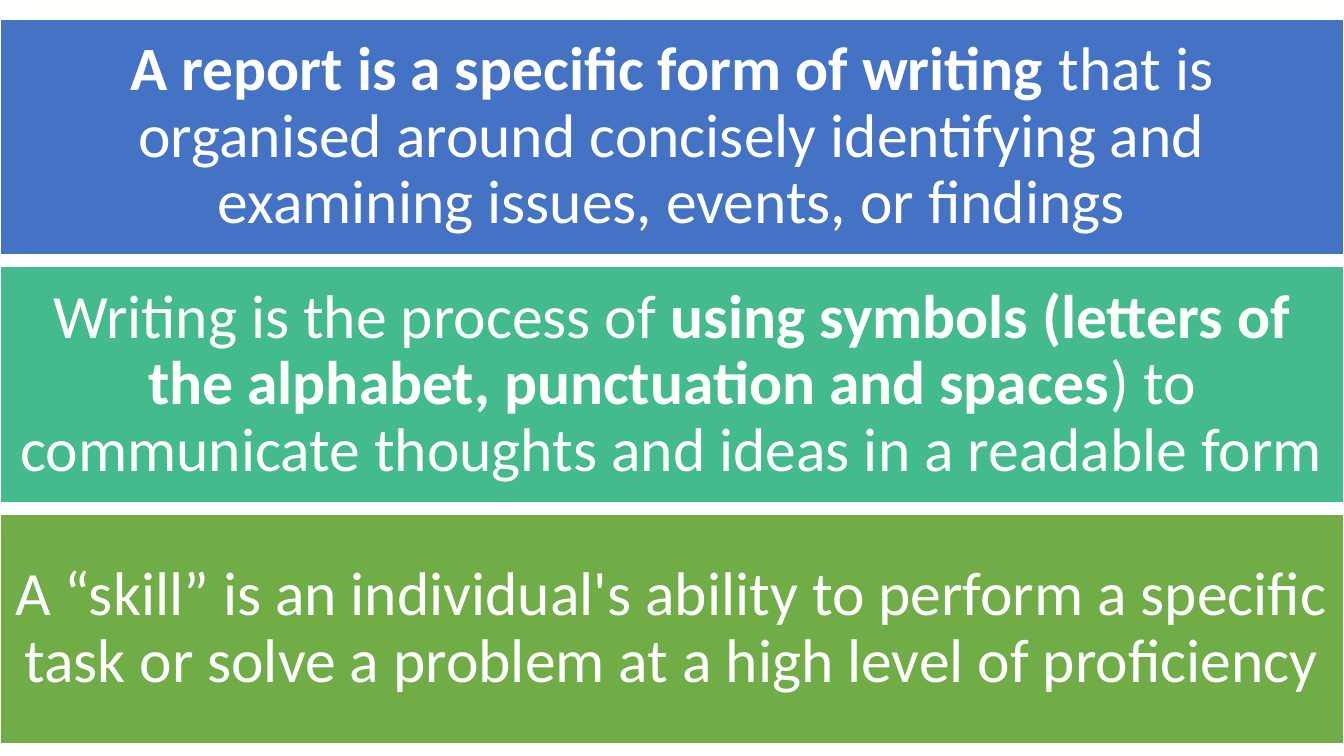
from pptx import Presentation
from pptx.dml.color import RGBColor
from pptx.enum.shapes import MSO_SHAPE
from pptx.enum.text import MSO_ANCHOR, PP_ALIGN
from pptx.util import Pt


def rgb(value):
    return RGBColor.from_string(value)


prs = Presentation()
prs.slide_width = Pt(960)
prs.slide_height = Pt(540)
s = prs.slides.add_slide(prs.slide_layouts[6])

bands = [
    ("4472C4", 168.5, [
        ("A report is a specific form of writing", True),
        (" that is organised around concisely identifying and examining issues, events, or findings", False),
    ]),
    ("43BB8D", 168.5, [
        ("Writing is the process of ", False),
        ("using symbols (letters of the alphabet, punctuation and spaces", True),
        (") to communicate thoughts and ideas in a readable form", False),
    ]),
    ("70AD47", 164, [
        ("A “skill” is an individual's ability to perform a specific task or solve a problem at a high level of proficiency", False),
    ]),
]

top = 13.7
gap = 8.4
for color, height, runs in bands:
    sp = s.shapes.add_shape(MSO_SHAPE.RECTANGLE, Pt(0), Pt(top), Pt(960), Pt(height))
    sp.shadow.inherit = False
    sp.fill.solid()
    sp.fill.fore_color.rgb = rgb(color)
    sp.line.color.rgb = rgb("FFFFFF")
    sp.line.width = Pt(1)
    tf = sp.text_frame
    tf.word_wrap = True
    tf.vertical_anchor = MSO_ANCHOR.MIDDLE
    tf.margin_left = tf.margin_right = tf.margin_top = tf.margin_bottom = Pt(8.8)
    p = tf.paragraphs[0]
    p.alignment = PP_ALIGN.CENTER
    p.line_spacing = 0.9
    for text, bold in runs:
        r = p.add_run()
        r.text = text
        r.font.name = "Calibri"
        r.font.size = Pt(44)
        r.font.bold = bold
        r.font.color.rgb = rgb("FFFFFF")
    top += height + gap

prs.save("out.pptx")
